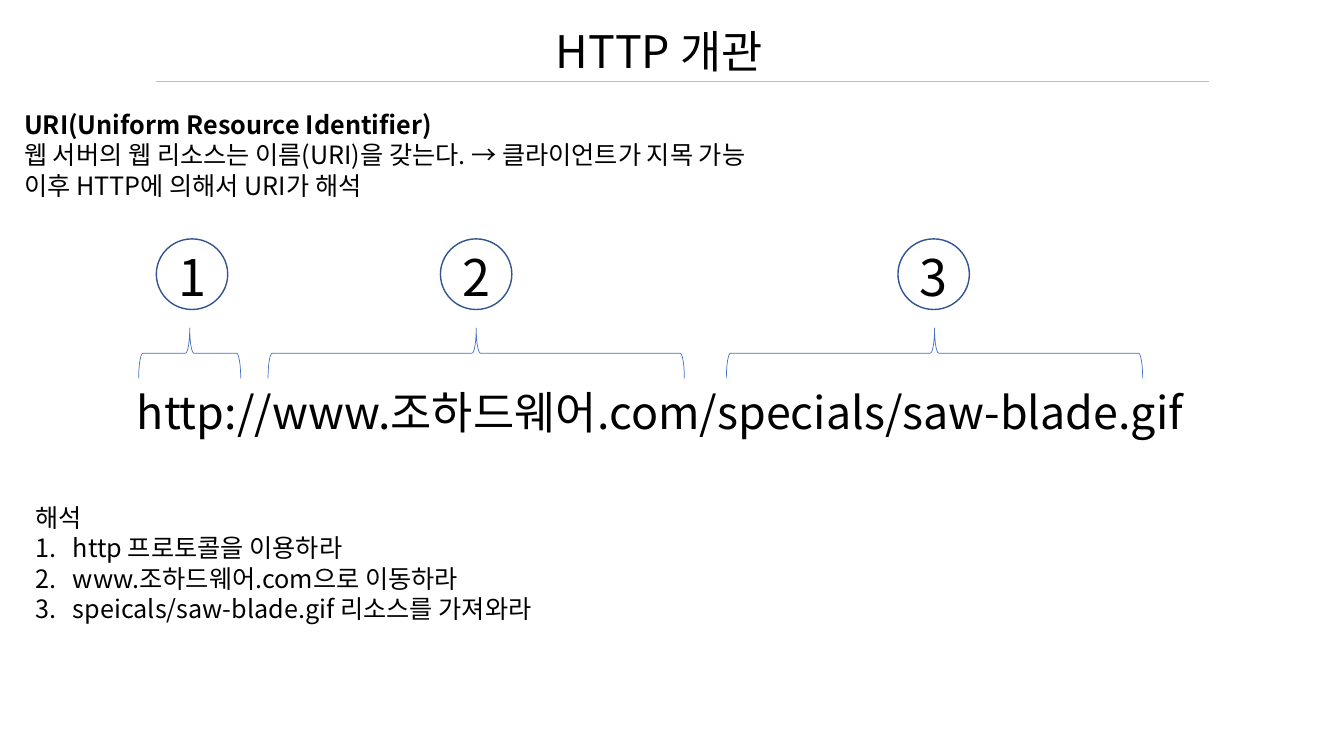
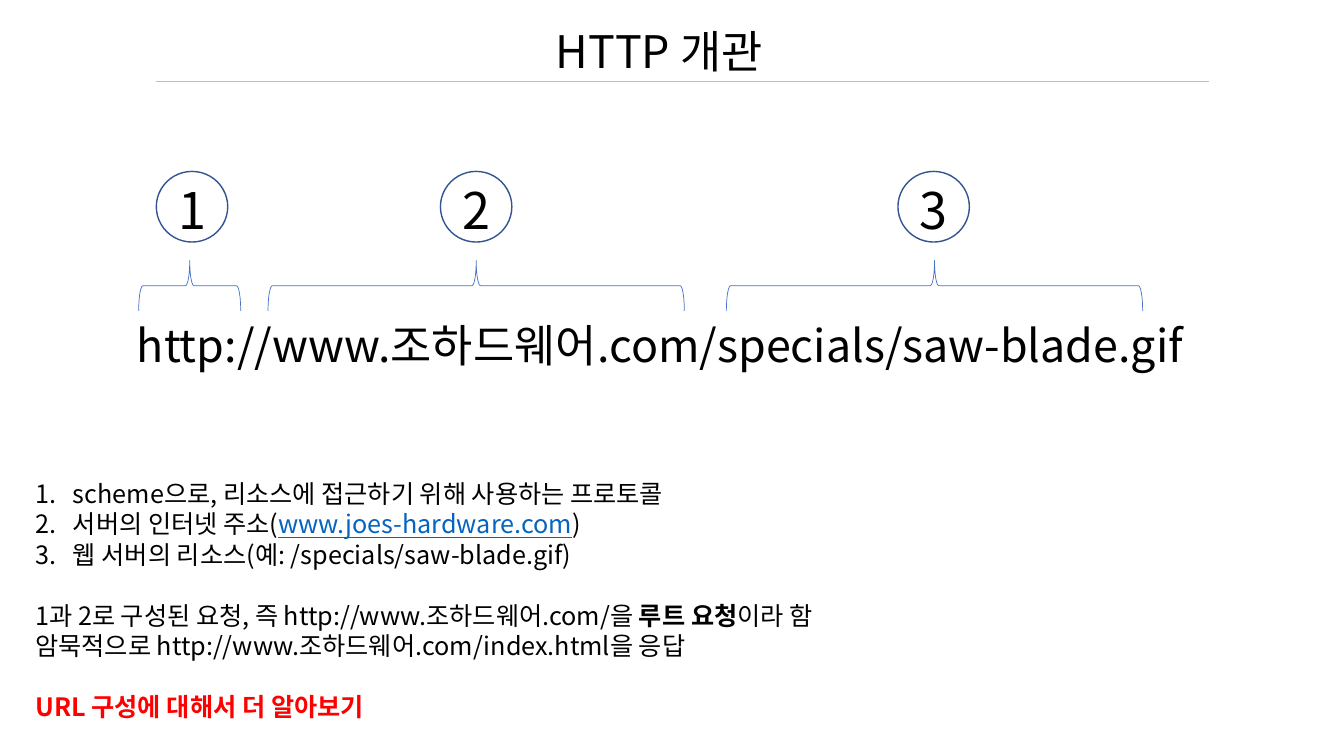
from lxml import etree
from pptx import Presentation
from pptx import util as u
from pptx.dml.color import RGBColor
from pptx.enum import shapes, text
from pptx.oxml.ns import qn

FONT = "Noto Sans CJK KR"
LINE_FACTOR = 1.21
COLORS = {"text": "000000", "rule": "BFBFBF", "brace": "4472C4",
          "circle": "325491", "link": "0563C1", "alert": "FF0000"}

BOLD = {"bold": True}
LINK = {"underline": True, "color": "link"}
ALERT = {"bold": True, "color": "alert"}

# Diagram columns: circle centre, brace centre, brace length (cm)
URI_PARTS = [(4.84, 4.78, 2.57), (12, 12, 10.49), (23.53, 23.55, 10.49)]
URI = "http://www.조하드웨어.com/specials/saw-blade.gif"
CIRCLE_W, CIRCLE_H, BRACE_DEPTH = 1.8, 1.78, 1.27

# Text blocks: box in cm, then paragraphs as (kind, runs)
SLIDES = [
    {"diagram_top": 6.02, "blocks": [
        ((0.36, 2.62, 33.15, 2.57), [
            ("plain", [("URI(Uniform Resource Identifier)", BOLD)]),
            ("plain", [("웹 서버의 웹 리소스는 이름(URI)을 갖는다. → 클라이언트가 지목 가능", {})]),
            ("plain", [("이후 HTTP에 의해서 URI가 해석", {})])]),
        ((0.64, 12.52, 33.15, 3.33), [
            ("plain", [("해석", {})]),
            ("number", [("http 프로토콜을 이용하라", {})]),
            ("number", [("www.조하드웨어.com으로 이동하라", {})]),
            ("number", [("speicals/saw-blade.gif 리소스를 가져와라", {})])])]},
    {"diagram_top": 4.32, "blocks": [
        ((0.64, 11.91, 33.15, 6.4), [
            ("number", [("scheme으로, 리소스에 접근하기 위해 사용하는 프로토콜", {})]),
            ("number", [("서버의 인터넷 주소(", {}), ("www.joes-hardware.com", LINK), (")", {})]),
            ("number", [("웹 서버의 리소스(예: /specials/saw-blade.gif)", {})]),
            ("spaced", [("1과 2로 구성된 요청, 즉 http://www.조하드웨어.com/을 ", {}),
                        ("루트 요청", BOLD), ("이라 함", {})]),
            ("plain", [("암묵적으로 http://www.조하드웨어.com/index.html을 응답", {})]),
            ("spaced", [("URL 구성에 대해서 더 알아보기", ALERT)])])]},
]


def write(shape, paragraphs, size, **frame_format):
    """Fill a shape with paragraphs of formatted runs."""
    frame = shape.text_frame
    settings = {"word_wrap": True, "auto_size": text.MSO_AUTO_SIZE.NONE,
                "vertical_anchor": text.MSO_ANCHOR.TOP} | frame_format
    alignment = settings.pop("alignment", text.PP_ALIGN.LEFT)
    for name, value in settings.items():
        setattr(frame, name, value)
    for index, (kind, runs) in enumerate(paragraphs):
        paragraph = frame.add_paragraph() if index else frame.paragraphs[0]
        paragraph.alignment = alignment
        paragraph.line_spacing = u.Pt(round(size * LINE_FACTOR, 1))
        paragraph.space_before = paragraph.line_spacing if kind == "spaced" else u.Pt(0)
        if kind == "number":
            properties = paragraph._p.get_or_add_pPr()
            properties.set("marL", str(u.Cm(0.95)))
            properties.set("indent", str(-u.Cm(0.95)))
            etree.SubElement(properties, qn("a:buAutoNum"), type="arabicPeriod")
        for content, style in runs:
            run = paragraph.add_run()
            run.text = content
            values = {"name": FONT, "size": u.Pt(size), "bold": False} | style
            color = values.pop("color", "text")
            for name, value in values.items():
                setattr(run.font, name, value)
            run.font.color.rgb = RGBColor.from_string(COLORS[color])
            etree.SubElement(run._r.get_or_add_rPr(), qn("a:ea"), typeface=FONT)


def outline(shape, color, width):
    """Give an unfilled shape a plain line."""
    shape.shadow.inherit = False
    shape.fill.background()
    shape.line.color.rgb = RGBColor.from_string(COLORS[color])
    shape.line.width = u.Pt(width)


presentation = Presentation()
presentation.slide_width = u.Cm(33.87)
presentation.slide_height = u.Cm(19.05)

for content in SLIDES:
    slide = presentation.slides.add_slide(presentation.slide_layouts[5])

    # Title and rule
    title = slide.shapes.title
    title_box = {"left": 7.09, "top": 0.45, "width": 19.05, "height": 1.63}
    for name, value in title_box.items():
        setattr(title, name, u.Cm(value))
    write(title, [("plain", [("HTTP 개관", {})])], 32, alignment=text.PP_ALIGN.CENTER)
    rule = slide.shapes.add_connector(shapes.MSO_CONNECTOR.STRAIGHT,
                                      u.Cm(3.94), u.Cm(2.04), u.Cm(30.48), u.Cm(2.04))
    rule.line.color.rgb = RGBColor.from_string(COLORS["rule"])
    rule.line.width = u.Pt(0.5)
    etree.SubElement(rule._element.spPr, qn("a:effectLst"))

    # URI diagram
    top = content["diagram_top"]
    diagram = slide.shapes.add_group_shape().shapes
    address = diagram.add_textbox(u.Cm(3.2), u.Cm(top + 3.55), u.Cm(28.02), u.Cm(3))
    write(address, [("plain", [(URI, {})])], 32)
    for number, (circle_x, brace_x, length) in enumerate(URI_PARTS, start=1):
        brace = diagram.add_shape(shapes.MSO_SHAPE.LEFT_BRACE,
                                  u.Cm(brace_x - BRACE_DEPTH / 2), u.Cm(top + 2.88 - length / 2),
                                  u.Cm(BRACE_DEPTH), u.Cm(length))
        brace.rotation = 90
        outline(brace, "brace", 0.5)
        circle = diagram.add_shape(shapes.MSO_SHAPE.OVAL, u.Cm(circle_x - CIRCLE_W / 2),
                                   u.Cm(top), u.Cm(CIRCLE_W), u.Cm(CIRCLE_H))
        outline(circle, "circle", 1)
        write(circle, [("plain", [(str(number), {})])], 36, alignment=text.PP_ALIGN.CENTER,
              vertical_anchor=text.MSO_ANCHOR.MIDDLE, margin_left=0, margin_right=0,
              margin_top=u.Cm(0.1), margin_bottom=0)

    # Explanations
    for box, paragraphs in content["blocks"]:
        write(slide.shapes.add_textbox(*map(u.Cm, box)), paragraphs, 18)

presentation.save("out.pptx")
